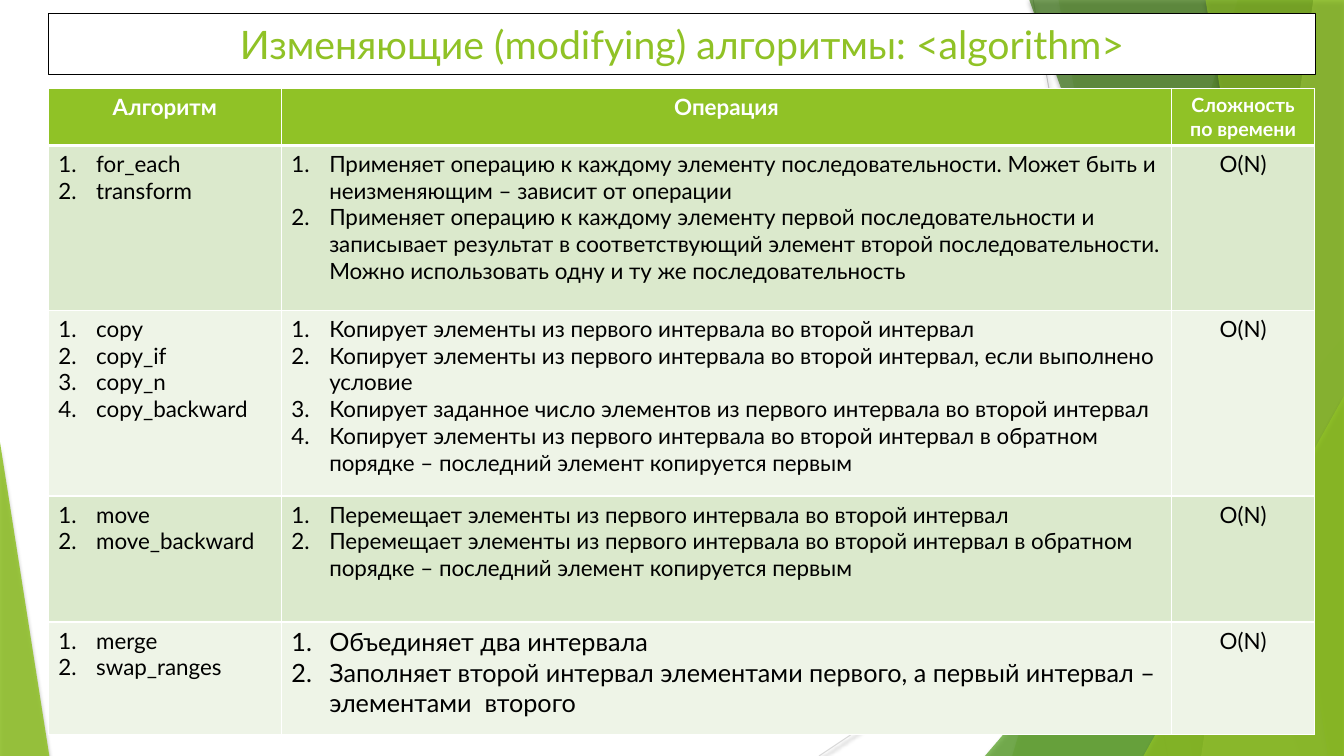
from lxml import etree
from pptx import Presentation
from pptx import util as u
from pptx.dml.color import RGBColor
from pptx.enum import shapes, text
from pptx.oxml import ns

PX = 9525
WIDTH, HEIGHT = 1280, 720
FONT = "Lato"
WHITE = RGBColor(0xFF, 0xFF, 0xFF)
BLACK = RGBColor(0, 0, 0)
LIME = RGBColor(0x90, 0xC2, 0x26)
GREEN = RGBColor(0x54, 0xA0, 0x21)
FOREST = RGBColor(0x3F, 0x78, 0x19)
PALE_LIME = RGBColor(0xC0, 0xE4, 0x74)
GRAY = RGBColor(0xBF, 0xBF, 0xBF)
LIGHT_GRAY = RGBColor(0xD9, 0xD9, 0xD9)
BANDS = (RGBColor(0xDB, 0xE9, 0xCC), RGBColor(0xEE, 0xF4, 0xE7))

COLUMNS = (222, 848, 136)
ROW_HEIGHTS = (53, 157, 177, 120, 107)
HEADERS = (("Алгоритм", 16), ("Операция", 16), ("Сложность по времени", 14))
ROWS = (
    (("for_each", "transform"),
     ("Применяет операцию к каждому элементу последовательности. Может быть и неизменяющим – зависит от операции",
      "Применяет операцию к каждому элементу первой последовательности и записывает результат в "
      "соответствующий элемент второй последовательности. Можно использовать одну и ту же последовательность"),
     16),
    (("copy", "copy_if", "copy_n", "copy_backward"),
     ("Копирует элементы из первого интервала во второй интервал",
      "Копирует элементы из первого интервала во второй интервал, если выполнено условие",
      "Копирует заданное число элементов из первого интервала во второй интервал",
      "Копирует элементы из первого интервала во второй интервал в обратном порядке – "
      "последний элемент копируется первым"),
     16),
    (("move", "move_backward"),
     ("Перемещает элементы из первого интервала во второй интервал",
      "Перемещает элементы из первого интервала во второй интервал в обратном порядке – "
      "последний элемент копируется первым"),
     16),
    (("merge", "swap_ranges"),
     ("Объединяет два интервала",
      "Заполняет второй интервал элементами первого, а первый интервал – элементами  второго"),
     18),
)


def px(*lengths):
    """Turn pixel lengths into EMU."""
    return [u.Emu(length * PX) for length in lengths]


def add_child(parent, tag, **attributes):
    """Append a DrawingML element to a parent."""
    return etree.SubElement(parent, ns.qn(tag), {name: str(value) for name, value in attributes.items()})


def add_shadow(shape, alpha, distance):
    """Give a shape a soft black shadow below it."""
    effects = add_child(shape.element.spPr, "a:effectLst")
    shadow = add_child(effects, "a:outerShdw", blurRad=u.Pt(3.1), dist=u.Pt(distance),
                       dir=5400000, rotWithShape=0)
    color = add_child(shadow, "a:srgbClr", val=BLACK)
    add_child(color, "a:alpha", val=alpha * 1000)


def style_facet(shape, color, alpha):
    """Fill a facet with a see-through colour and no outline."""
    shape.fill.solid()
    shape.fill.fore_color.rgb = color
    add_child(shape.fill._xPr.find(ns.qn("a:solidFill"))[0], "a:alpha", val=alpha * 1000)
    shape.line.fill.background()
    add_shadow(shape, 35, 1.8)


def add_ray(page, start, end, color):
    """Draw a thin background line."""
    ray = page.shapes.add_connector(shapes.MSO_CONNECTOR.STRAIGHT, *px(*start, *end))
    ray.line.color.rgb = color
    ray.line.width = u.Pt(0.75)
    add_shadow(ray, 38, 1.6)


def add_band(page, top_x, bottom_x, color, alpha):
    """Draw a facet with a slanted left side, reaching the right edge."""
    builder = page.shapes.build_freeform(top_x, -1, scale=PX)
    builder.add_line_segments([(WIDTH, -1), (WIDTH, HEIGHT), (bottom_x, HEIGHT)], close=True)
    style_facet(builder.convert_to_shape(), color, alpha)


def add_triangle(page, box, apex, color, alpha):
    """Draw a triangular facet with its apex at a share of the width."""
    triangle = page.shapes.add_shape(shapes.MSO_SHAPE.ISOSCELES_TRIANGLE, *px(*box))
    triangle.adjustments[0] = apex
    style_facet(triangle, color, alpha)


def add_backdrop(page):
    """Draw the green facets around the page."""
    add_ray(page, (984, 0), (1112, HEIGHT), GRAY)
    add_ray(page, (WIDTH, 387), (780, HEIGHT), LIGHT_GRAY)
    add_band(page, 1179, 964, LIME, 30)
    add_band(page, 1008, 1135, LIME, 20)
    add_triangle(page, (938, 320, 342, 400), 1, GREEN, 72)
    add_band(page, 980, 1239, FOREST, 70)
    add_band(page, 1251, 1144, PALE_LIME, 70)
    add_band(page, 1148, 1265, LIME, 65)
    add_triangle(page, (1089, 377, 191, 343), 1, LIME, 80)
    add_triangle(page, (0, 421, 47, 299), 0, LIME, 85)


def style_font(para, size, color, bold=False):
    """Set the font of a paragraph."""
    para.font.name = FONT
    para.font.size = u.Pt(size)
    para.font.bold = bold
    para.font.color.rgb = color


def add_title(page, box):
    """Place the framed title above the backdrop."""
    title = page.shapes.title
    page.shapes._spTree.append(title.element)
    title.left, title.top, title.width, title.height = px(*box)
    title.fill.solid()
    title.fill.fore_color.rgb = WHITE
    title.line.color.rgb = BLACK
    title.line.width = u.Pt(0.75)
    frame = title.text_frame
    frame.text = "Изменяющие (modifying) алгоритмы: <algorithm>"
    frame.auto_size = text.MSO_AUTO_SIZE.NONE
    frame.word_wrap = True
    frame.vertical_anchor = text.MSO_ANCHOR.MIDDLE
    para = frame.paragraphs[0]
    para.alignment = text.PP_ALIGN.CENTER
    style_font(para, 28, LIME)


def style_cell(cell, color, top=0.96, bottom=0.96):
    """Give a cell white borders and a fill."""
    properties = cell._tc.get_or_add_tcPr()
    for side, width in (("L", 0.96), ("R", 0.96), ("T", top), ("B", bottom)):
        border = add_child(properties, f"a:ln{side}", w=u.Pt(width))
        add_child(add_child(border, "a:solidFill"), "a:srgbClr", val=WHITE)
    cell.fill.solid()
    cell.fill.fore_color.rgb = color


def write_centered(cell, words, size, color, bold=False):
    """Write one centred paragraph in a cell."""
    cell.text = words
    para = cell.text_frame.paragraphs[0]
    para.alignment = text.PP_ALIGN.CENTER
    style_font(para, size, color, bold)


def write_numbered(cell, items, size):
    """Write a numbered list in a cell."""
    cell.text = "\n".join(items)
    indent, = px(36)
    for para in cell.text_frame.paragraphs:
        properties = para._p.get_or_add_pPr()
        properties.set("marL", str(indent))
        properties.set("indent", str(-indent))
        add_child(properties, "a:buFont", typeface="+mj-lt")
        add_child(properties, "a:buAutoNum", type="arabicPeriod")
        style_font(para, size, BLACK)


def add_algorithm_table(page, box):
    """Place the table of algorithms, operations and complexity."""
    table = page.shapes.add_table(len(ROW_HEIGHTS), len(COLUMNS), *px(*box)).table
    for column, width in zip(table.columns, px(*COLUMNS)):
        column.width = width
    for row, height in zip(table.rows, px(*ROW_HEIGHTS)):
        row.height = height
    for cell, (words, size) in zip(table.rows[0].cells, HEADERS):
        style_cell(cell, LIME, bottom=3)
        write_centered(cell, words, size, WHITE, bold=True)
    for index, (names, operations, size) in enumerate(ROWS):
        cells = list(table.rows[index + 1].cells)
        for cell in cells:
            style_cell(cell, BANDS[index % 2], top=0.96 if index else 3)
        write_numbered(cells[0], names, 16)
        write_numbered(cells[1], operations, size)
        write_centered(cells[2], "O(N)", 16, BLACK)


def main():
    """Build and save the deck."""
    deck = Presentation()
    deck.slide_width, deck.slide_height = px(WIDTH, HEIGHT)
    page = deck.slides.add_slide(deck.slide_layouts[5])
    add_backdrop(page)
    add_title(page, (46, 13, 1207, 58))
    add_algorithm_table(page, (46, 84, sum(COLUMNS), sum(ROW_HEIGHTS)))
    deck.save("out.pptx")


if __name__ == "__main__":
    main()
